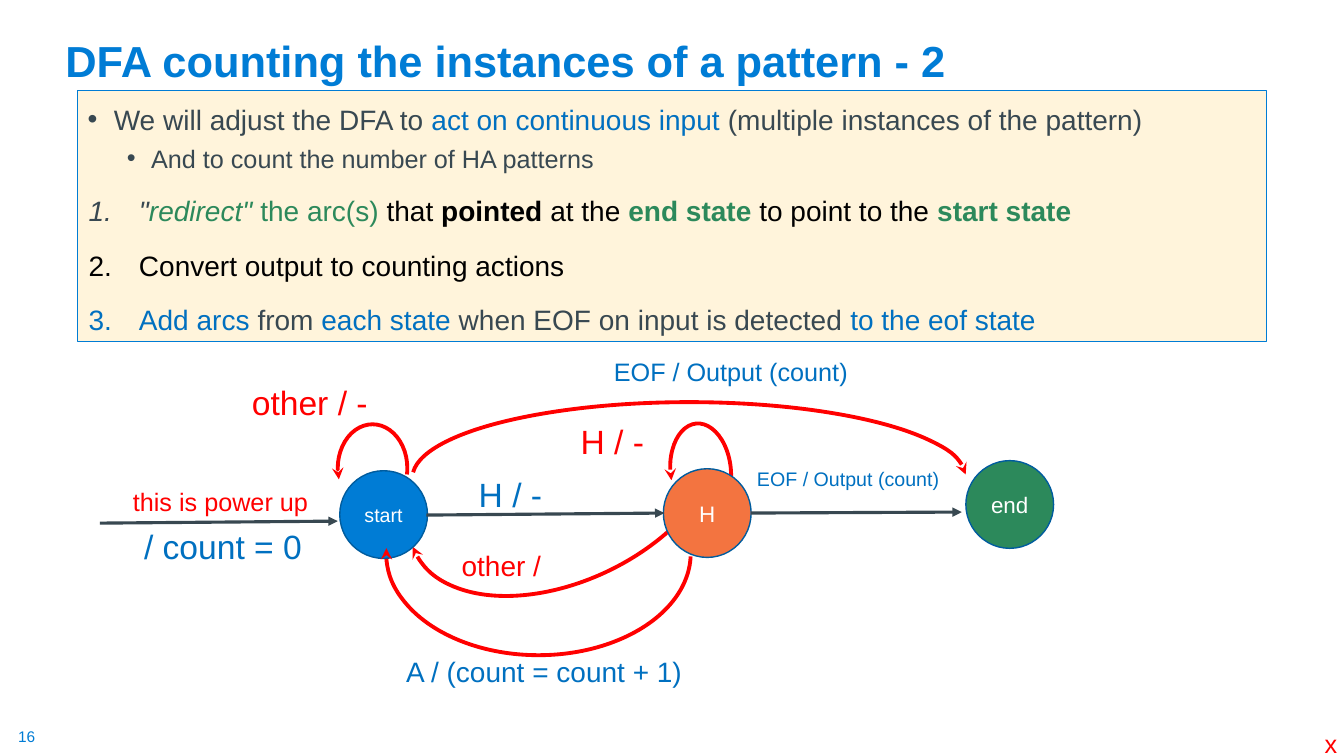
from typing import NamedTuple

from lxml import etree
from pptx import Presentation
from pptx import util as u
from pptx.dml.color import RGBColor
from pptx.enum import shapes, text
from pptx.oxml.ns import qn

# The slide is a grid of square cells, 133.3 columns by 75 rows.
COLUMNS, ROWS = 133.3, 75
CELL = u.Inches(0.1)

FONT = "Arial"
BLUE, LINK_BLUE, DARK_BLUE = "007CD5", "0070C0", "005C9E"
GREEN, ORANGE, RED = "2C895B", "F37440", "FF0000"
SLATE, BLACK, WHITE, CREAM = "384851", "000000", "FFFFFF", "FFF4DB"


class Box(NamedTuple):
    column: float
    row: float
    columns: float
    rows: float


class Label(NamedTuple):
    words: str
    box: Box
    size: float
    color: str


class State(NamedTuple):
    name: str
    box: Box
    size: float
    fill: str


class Arc(NamedTuple):
    box: Box
    start: float  # degrees
    end: float
    rotation: float = 0
    mirrored: bool = False


class Arrow(NamedTuple):
    start: tuple[float, float]
    end: tuple[float, float]


class Run(NamedTuple):
    words: str
    color: str
    bold: bool = False
    italic: bool = False


class Item(NamedTuple):
    runs: list[Run]
    numbered: bool = False
    level: int = 0


LABELS = [
    Label("x", Box(130.4, 71.8, 3.3, 4), 18, RED),
    Label("H / -", Box(56.6, 41.3, 8.4, 5), 24, RED),
    Label("other /", Box(44.8, 53.9, 9.9, 4.4), 20, RED),
    Label("H / -", Box(46.5, 46.5, 8.4, 5), 24, LINK_BLUE),
    Label("other / -", Box(24, 37.4, 13.6, 5), 24, RED),
    Label("A / (count = count + 1)", Box(39.3, 64.4, 29.5, 4.4), 20, LINK_BLUE),
    Label("EOF / Output (count)", Box(74.1, 45.8, 20.7, 3.4), 14, LINK_BLUE),
    Label("EOF / Output (count)", Box(59.9, 34.9, 26.1, 4), 18, LINK_BLUE),
    Label("/ count = 0", Box(13.3, 51.7, 17.8, 5), 24, LINK_BLUE),
    Label("this is power up", Box(12.2, 47.8, 19.6, 4), 18, RED),
]
STATES = [
    State("start", Box(33.7, 46.7, 8.7, 8.7), 14, BLUE),
    State("H", Box(65.8, 46.5, 8.7, 8.8), 16, ORANGE),
    State("end", Box(95.8, 45.7, 8.7, 8.7), 16, GREEN),
]
ARCS_BEHIND_STATES = [
    Arc(Box(66.5, 42, 6, 9.5), 162.09, 11.7, 354.6, True),
    Arc(Box(39.5, 37.5, 33.1, 20.1), 232.89, 1.98, 154.1),
]
ARCS_OVER_STATES = [
    Arc(Box(33.5, 42.1, 6.9, 8.7), 169.63, 18.42, mirrored=True),
    Arc(Box(38.3, 44.8, 30.2, 20.2), 181.14, 1.98, 180),
    Arc(Box(40.9, 39.9, 54.9, 15), 181.14, 359.32),
]
ARROWS = [
    Arrow((9.9, 51.9), (33.5, 51.7)),
    Arrow((42.3, 51.1), (65.9, 50.9)),
    Arrow((74.5, 50.9), (95.4, 50.8)),
]
ITEMS = [
    Item([
        Run("We will adjust the DFA to ", SLATE),
        Run("act on continuous input", LINK_BLUE),
        Run(" (multiple instances of the pattern)", SLATE),
    ]),
    Item([Run("And to count the number of HA patterns", SLATE)], level=1),
    Item([
        Run('"', SLATE, italic=True),
        Run('redirect" ', GREEN, italic=True),
        Run("the arc(s) ", GREEN),
        Run("that ", BLACK),
        Run("pointed", BLACK, bold=True),
        Run(" at the ", BLACK),
        Run("end state ", GREEN, bold=True),
        Run("to point to the ", BLACK),
        Run("start state", GREEN, bold=True),
    ], numbered=True),
    Item([Run("Convert output to counting actions", BLACK)], numbered=True),
    Item([
        Run("Add arcs ", LINK_BLUE),
        Run("from ", SLATE),
        Run("each state ", LINK_BLUE),
        Run("when EOF on input is detected ", SLATE),
        Run("to the eof state", LINK_BLUE),
    ], numbered=True),
]


def rgb(color: str) -> RGBColor:
    return RGBColor.from_string(color)


def cells(*counts: float) -> list[int]:
    return [round(count * CELL) for count in counts]


def set_font(font, size: float, color: str, bold: bool = False) -> None:
    font.name, font.size, font.bold = FONT, u.Pt(size), bold
    font.color.rgb = rgb(color)


def set_line(shape, color: str, width: float, arrowhead: str = "") -> None:
    shape.line.color.rgb = rgb(color)
    shape.line.width = u.Pt(width)
    if arrowhead:
        line = shape.element.spPr.find(qn("a:ln"))
        etree.SubElement(line, qn("a:tailEnd"), type=arrowhead)


def add_label(slide, label: Label, bold: bool = False):
    shape = slide.shapes.add_textbox(*cells(*label.box))
    shape.text_frame.word_wrap = False
    paragraph = shape.text_frame.paragraphs[0]
    paragraph.text = label.words
    set_font(paragraph.font, label.size, label.color, bold)
    return shape


def add_preset(slide, preset, box: Box, fill: str = ""):
    shape = slide.shapes.add_shape(preset, *cells(*box))
    shape.shadow.inherit = False
    if fill:
        shape.fill.solid()
        shape.fill.fore_color.rgb = rgb(fill)
    else:
        shape.fill.background()
    return shape


def add_state(slide, state: State) -> None:
    shape = add_preset(slide, shapes.MSO_SHAPE.OVAL, state.box, state.fill)
    set_line(shape, DARK_BLUE, 1)
    shape.text_frame.vertical_anchor = text.MSO_ANCHOR.MIDDLE
    paragraph = shape.text_frame.paragraphs[0]
    paragraph.text = state.name
    paragraph.alignment = text.PP_ALIGN.CENTER
    set_font(paragraph.font, state.size, WHITE)


def add_arc(slide, arc: Arc) -> None:
    shape = add_preset(slide, shapes.MSO_SHAPE.ARC, arc.box)
    # One degree is 60000 file units; an adjustment of 1 is 100000.
    shape.adjustments[0] = arc.start * 0.6
    shape.adjustments[1] = arc.end * 0.6
    shape.rotation = arc.rotation
    if arc.mirrored:
        shape.element.spPr.find(qn("a:xfrm")).set("flipH", "1")
    set_line(shape, RED, 2.75, "stealth")


def add_arrow(slide, arrow: Arrow) -> None:
    connector = slide.shapes.add_connector(
        shapes.MSO_CONNECTOR.STRAIGHT, *cells(*arrow.start, *arrow.end))
    set_line(connector, SLATE, 2.25, "triangle")
    etree.SubElement(connector.element.spPr, qn("a:effectLst"))


def set_marker(paragraph, item: Item) -> None:
    """Give the paragraph its hanging indent and its bullet or number."""
    margin, hanging = (0.63, 0.24) if item.level else (0.26, 0.26)
    if item.numbered:
        margin, hanging = 0.51, 0.5
    properties = paragraph._p.get_or_add_pPr()
    properties.set("marL", str(u.Inches(margin)))
    properties.set("indent", str(-u.Inches(hanging)))
    if item.numbered:
        etree.SubElement(properties, qn("a:buAutoNum"), type="arabicPeriod")
    else:
        etree.SubElement(properties, qn("a:buFont"), typeface=FONT)
        etree.SubElement(properties, qn("a:buChar"), char="•")


def add_items(slide, box: Box, items: list[Item]) -> None:
    panel = add_preset(slide, shapes.MSO_SHAPE.RECTANGLE, box, CREAM)
    set_line(panel, BLUE, 0.75)
    frame = panel.text_frame
    frame.word_wrap = True
    frame.vertical_anchor = text.MSO_ANCHOR.TOP
    for index, item in enumerate(items):
        paragraph = frame.add_paragraph() if index else frame.paragraphs[0]
        paragraph.alignment = text.PP_ALIGN.LEFT
        paragraph.level = item.level
        paragraph.line_spacing = 1.0 if item.level else 1.2
        if index:
            paragraph.space_before = u.Pt(5 if item.level else 10)
        set_marker(paragraph, item)
        for part in item.runs:
            run = paragraph.add_run()
            run.text = part.words
            set_font(run.font, 18 if item.level else 20, part.color, part.bold)
            run.font.italic = part.italic


def main() -> None:
    presentation = Presentation()
    presentation.slide_width, presentation.slide_height = cells(COLUMNS, ROWS)
    slide = presentation.slides.add_slide(presentation.slide_layouts[6])

    number = add_label(slide, Label("16", Box(1.8, 72.1, 1.9, 1.9), 11, BLUE))
    frame = number.text_frame
    frame.margin_left = frame.margin_right = frame.margin_top = frame.margin_bottom = 0
    heading = "DFA counting the instances of a pattern - 2"
    title = add_label(slide, Label(heading, Box(5.5, 1.3, 115, 7.8), 31, BLUE), bold=True)
    title.text_frame.word_wrap = True
    title.text_frame.vertical_anchor = text.MSO_ANCHOR.BOTTOM
    title.text_frame.paragraphs[0].line_spacing = 0.9
    add_items(slide, Box(7.7, 9, 117.9, 24.9), ITEMS)

    for draw, elements in (
        (add_arc, ARCS_BEHIND_STATES),
        (add_state, STATES),
        (add_arrow, ARROWS),
        (add_arc, ARCS_OVER_STATES),
        (add_label, LABELS),
    ):
        for element in elements:
            draw(slide, element)
    presentation.save("out.pptx")


if __name__ == "__main__":
    main()
